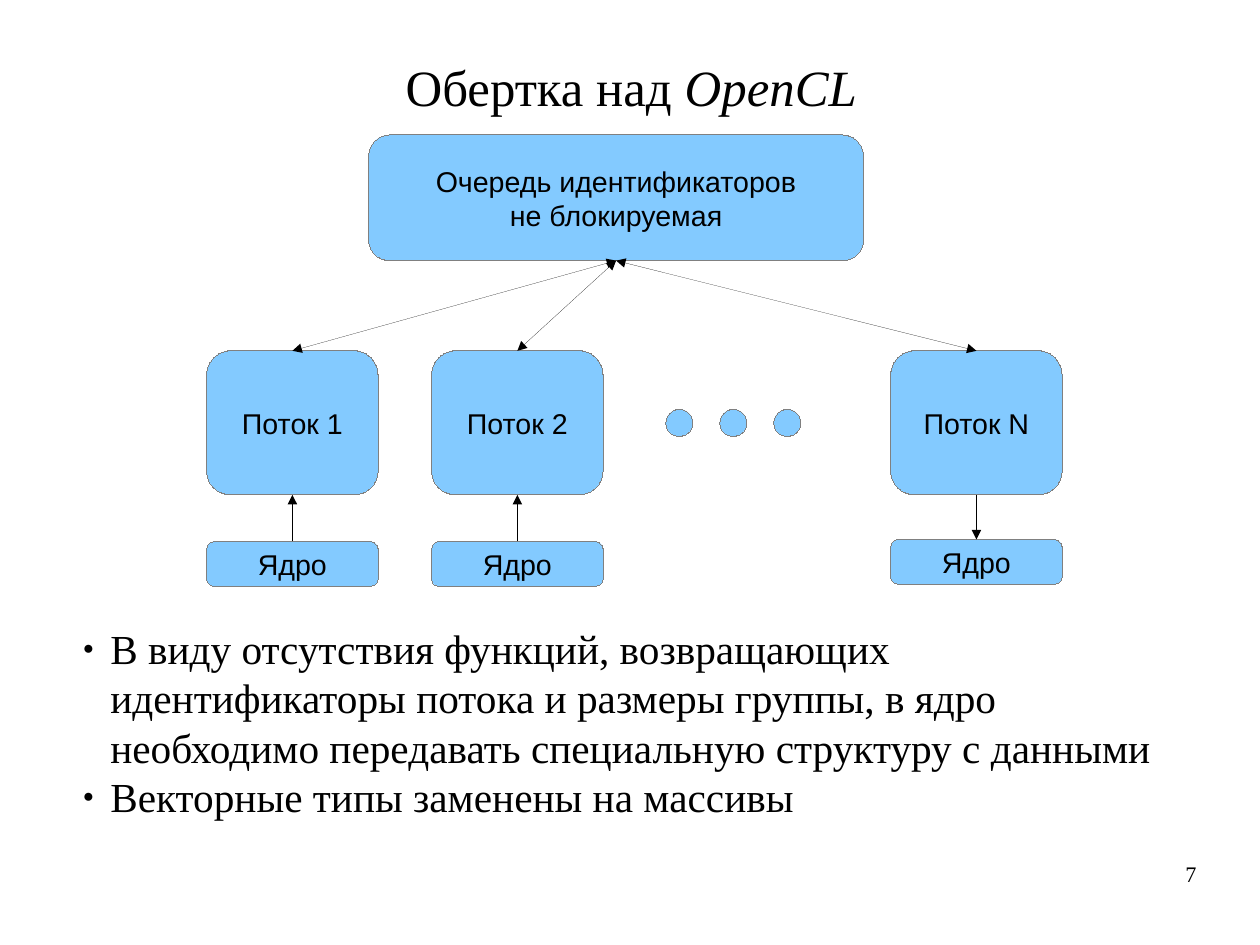
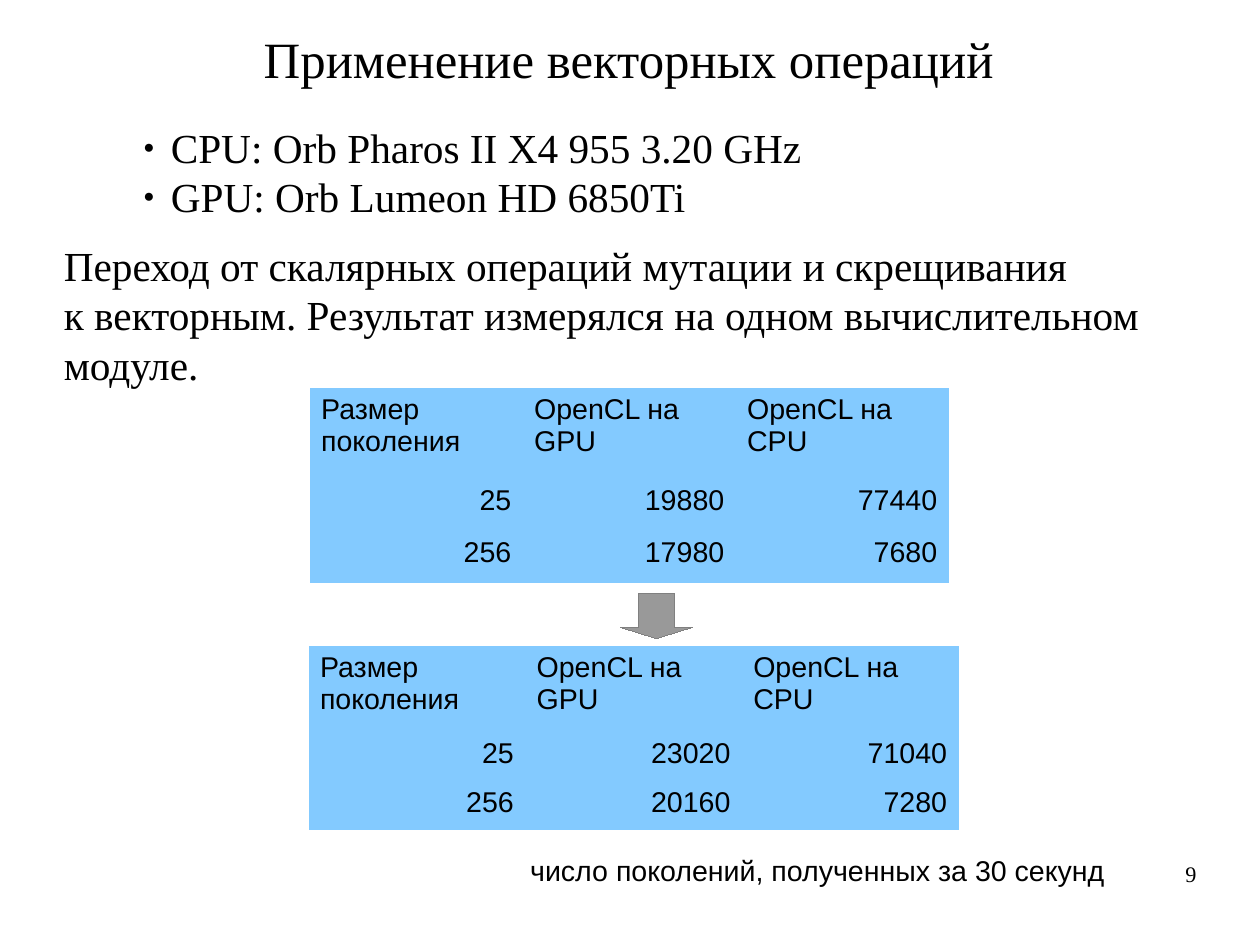
from pptx import Presentation
from pptx.dml.color import RGBColor
from pptx.enum.shapes import MSO_CONNECTOR, MSO_SHAPE
from pptx.enum.text import MSO_ANCHOR, MSO_AUTO_SIZE, PP_ALIGN
from pptx.oxml import parse_xml
from pptx.oxml.ns import nsdecls, qn
from pptx.util import Pt

ROUND, OVAL, DOWN = MSO_SHAPE.ROUNDED_RECTANGLE, MSO_SHAPE.OVAL, MSO_SHAPE.DOWN_ARROW
STRAIGHT = MSO_CONNECTOR.STRAIGHT
TOP, MIDDLE = MSO_ANCHOR.TOP, MSO_ANCHOR.MIDDLE
LEFT, CENTER, RIGHT = PP_ALIGN.LEFT, PP_ALIGN.CENTER, PP_ALIGN.RIGHT
FIXED = MSO_AUTO_SIZE.NONE

BLACK = RGBColor(0x00, 0x00, 0x00)
BLUE = RGBColor(0x83, 0xCA, 0xFF)
GRAY = RGBColor(0x99, 0x99, 0x99)
EDGE = RGBColor(0x80, 0x80, 0x80)
SERIF, SANS = "Times New Roman", "Arial"
BARE_STYLE = "{2D5ABB26-0587-4C30-8999-92F81FD0307C}"
SIZE = (793.7, 595.28)

WRAPPER = {
    "title": [("Обертка над ", False), ("OpenCL", True)],
    "title_at": (97.7, 31.7, 600, 42.5),
    "list": [
        "В виду отсутствия функций, возвращающих идентификаторы потока и размеры "
        "группы, в ядро необходимо передавать специальную структуру с данными",
        "Векторные типы заменены на массивы",
    ],
    "list_at": (45, 388.8, 702.7, 124.6),
    "page": "7",
}
VECTORS = {
    "title": [("Применение векторных операций", False)],
    "title_at": (96.3, 13.7, 600, 42.5),
    "list": ["CPU: Orb Pharos II X4 955 3.20 GHz", "GPU: Orb Lumeon HD 6850Ti"],
    "list_at": (83.1, 73.4, 520, 95),
    "page": "9",
}

QUEUE = "Очередь идентификаторов\nне блокируемая"
QUEUE_AT = (232.2, 85, 311.8, 79.2)
THREADS = [("Поток 1", 130.2, 341.1, True), ("Поток 2", 271.9, 341.1, True),
           ("Поток N", 561.1, 339.8, False)]
CORE = "Ядро"
THREAD_TOP, THREAD_W, THREAD_H, CORE_H = 221, 108, 90.7, 28.3
DOT_LEFT, DOT_TOP, DOT_SIZE, DOT_STEP, DOTS = 419.4, 257.8, 17.1, 34, 3

SWITCH = ("Переход от скалярных операций мутации и скрещивания\n"
          "к векторным. Результат измерялся на одном вычислительном\n"
          "модуле.")
SWITCH_AT = (33.1, 147.6, 699.1, 95)
HEADS = ["Размер поколения", "OpenCL на GPU", "OpenCL на СPU"]
TABLES = [
    ((195.1, 244.5, 402.5), (56.9, 33),
     [("25", "19880", "77440"), ("256", "17980", "7680")]),
    ((194.4, 406.8, 409.4), (54, 30.9),
     [("25", "23020", "71040"), ("256", "20160", "7280")]),
]
ARROW_AT = (390.8, 374, 45.4, 28.3)
NOTE = "число поколений, полученных за 30 секунд"
NOTE_AT = (326.9, 534, 376.6, 27.4)
PAGE_AT = (568.8, 541.9, 185, 41)


def points(spot):
    return [Pt(n) for n in spot]


def style(frame, font, size, align=LEFT, anchor=TOP, wrap=True):
    frame.word_wrap = wrap
    frame.auto_size = FIXED
    frame.vertical_anchor = anchor
    for para in frame.paragraphs:
        paint(para, font, size, align)


def paint(para, font, size, align):
    para.alignment = align
    para.space_before = Pt(0)
    for run in para.runs:
        run.font.name = font
        run.font.size = Pt(size)
        run.font.color.rgb = BLACK


def place(shape, spot):
    shape.left, shape.top, shape.width, shape.height = points(spot)


def hairline(shape, color):
    shape.line.color.rgb = color
    stroke = shape.element.spPr.find(qn("a:ln"))
    stroke.set("w", "0")
    return stroke


def bullet(para):
    props = para._p.get_or_add_pPr()
    props.set("marL", str(Pt(17.28)))
    props.set("indent", str(-Pt(17.28)))
    for tag in (f'<a:buClr {nsdecls("a")}><a:srgbClr val="{BLACK}"/></a:buClr>',
                f'<a:buSzPct {nsdecls("a")} val="45000"/>',
                f'<a:buFont {nsdecls("a")} typeface="{SANS}"/>',
                f'<a:buChar {nsdecls("a")} char="●"/>'):
        props.append(parse_xml(tag))


def label(slide, text, spot, font, size, align=LEFT, wrap=False):
    box = slide.shapes.add_textbox(*points(spot))
    box.text_frame.text = text
    style(box.text_frame, font, size, align, wrap=wrap)
    return box.text_frame


def start(deck, page):
    slide = deck.slides.add_slide(deck.slide_layouts[1])
    title, body = slide.placeholders
    place(title, page["title_at"])
    para = title.text_frame.paragraphs[0]
    for text, slant in page["title"]:
        run = para.add_run()
        run.text = text
        run.font.italic = slant
    style(title.text_frame, SERIF, 32, CENTER)
    place(body, page["list_at"])
    body.text_frame.text = "\n".join(page["list"])
    style(body.text_frame, SERIF, 26)
    for para in body.text_frame.paragraphs:
        bullet(para)
    frame = label(slide, page["page"], PAGE_AT, SERIF, 14, RIGHT, True)
    frame.margin_left = frame.margin_right = frame.margin_top = frame.margin_bottom = 0
    return slide


def block(slide, kind, spot, text="", fill=BLUE):
    shape = slide.shapes.add_shape(kind, *points(spot))
    shape.shadow.inherit = False
    shape.fill.solid()
    shape.fill.fore_color.rgb = fill
    hairline(shape, EDGE)
    if text:
        shape.text_frame.text = text
        style(shape.text_frame, SANS, 18, CENTER, MIDDLE, False)
    return shape


def link(slide, start, end, ends=("tailEnd",)):
    line = slide.shapes.add_connector(STRAIGHT, *points(start + end))
    stroke = hairline(line, BLACK)
    for tag in ends:
        stroke.append(parse_xml(f'<a:{tag} {nsdecls("a")} type="triangle"/>'))
    line.element.spPr.append(parse_xml(f'<a:effectLst {nsdecls("a")}/>'))


def grid(slide, spot, heights, rows):
    left, top, width = spot
    head, row = heights
    cells = [HEADS, *rows]
    frame = slide.shapes.add_table(len(cells), len(HEADS), Pt(left), Pt(top),
                                   Pt(width), Pt(head + row * len(rows)))
    table = frame.table
    table.first_row = table.horz_banding = False
    for tag in frame.element.iter(qn("a:tableStyleId")):
        tag.text = BARE_STYLE
    for col in table.columns:
        col.width = Pt(width / len(HEADS))
    for r, texts in enumerate(cells):
        table.rows[r].height = Pt(row if r else head)
        for c, text in enumerate(texts):
            cell = table.cell(r, c)
            cell.fill.solid()
            cell.fill.fore_color.rgb = BLUE
            cell.text_frame.text = text
            paint(cell.text_frame.paragraphs[0], SANS, 18, RIGHT if r else LEFT)


def draw_wrapper(deck):
    slide = start(deck, WRAPPER)
    block(slide, ROUND, QUEUE_AT, QUEUE)
    left, top, width, height = QUEUE_AT
    hub = (left + width / 2, top + height)
    base = THREAD_TOP + THREAD_H
    for name, left, core, rises in THREADS:
        block(slide, ROUND, (left, THREAD_TOP, THREAD_W, THREAD_H), name)
        block(slide, ROUND, (left, core, THREAD_W, CORE_H), CORE)
        mid = left + THREAD_W / 2
        link(slide, (mid, THREAD_TOP), hub, ("headEnd", "tailEnd"))
        ends = [(mid, base), (mid, core)]
        link(slide, *(reversed(ends) if rises else ends))
    for i in range(DOTS):
        block(slide, OVAL, (DOT_LEFT + i * DOT_STEP, DOT_TOP, DOT_SIZE, DOT_SIZE))


def draw_vectors(deck):
    slide = start(deck, VECTORS)
    label(slide, SWITCH, SWITCH_AT, SERIF, 26)
    for spot, heights, rows in TABLES:
        grid(slide, spot, heights, rows)
    arrow = block(slide, DOWN, ARROW_AT, fill=GRAY)
    arrow.adjustments[1] = 0.25
    label(slide, NOTE, NOTE_AT, SANS, 18)


deck = Presentation()
deck.slide_width, deck.slide_height = points(SIZE)
draw_wrapper(deck)
draw_vectors(deck)
deck.save("out.pptx")
